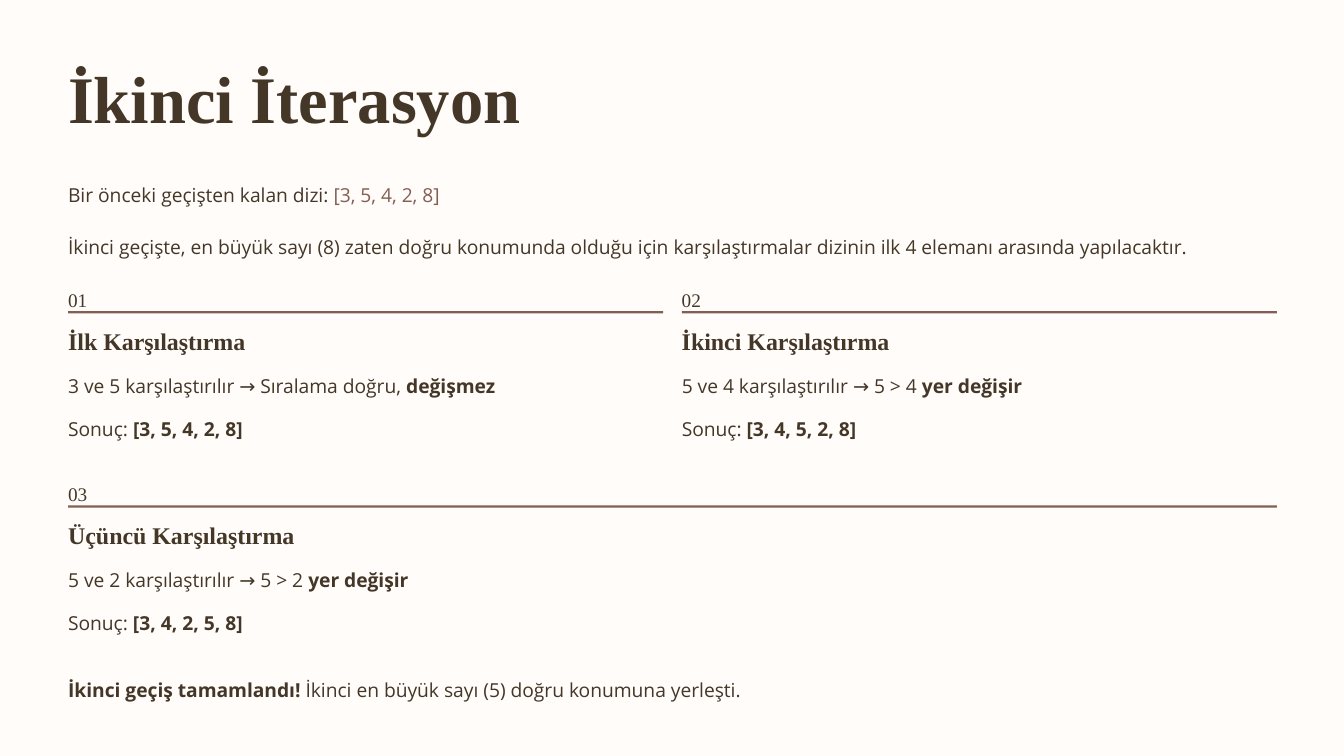
import pptx
import pptx.dml.color
import pptx.enum.shapes
import pptx.util
from pptx.util import Cm, Pt

BROWN = pptx.dml.color.RGBColor(0x44, 0x37, 0x28)
ROSE = pptx.dml.color.RGBColor(0x83, 0x5E, 0x54)
CREAM = pptx.dml.color.RGBColor(0xFF, 0xFC, 0xFA)
SERIF = "Times New Roman"
SANS = "Open Sans"

# Each span is (text, bold, colour).
TITLE = "İkinci İterasyon"
SENTENCES = [
    (5.31, [("Bir önceki geçişten kalan dizi: ", False, BROWN),
            ("[3, 5, 4, 2, 8]", False, ROSE)]),
    (6.88, [("İkinci geçişte, en büyük sayı (8) zaten doğru konumunda olduğu için "
             "karşılaştırmalar dizinin ilk 4 elemanı arasında yapılacaktır.", False, BROWN)]),
    (20.27, [("İkinci geçiş tamamlandı! ", True, BROWN),
             ("İkinci en büyük sayı (5) doğru konumuna yerleşti.", False, BROWN)]),
]
# Each row holds its top and its steps: (heading, comparison, outcome, result).
ROWS = [
    (8.48, [("İlk Karşılaştırma", "3 ve 5 karşılaştırılır → Sıralama doğru, ",
             "değişmez", "[3, 5, 4, 2, 8]"),
            ("İkinci Karşılaştırma", "5 ve 4 karşılaştırılır → 5 > 4 ",
             "yer değişir", "[3, 4, 5, 2, 8]")]),
    (14.35, [("Üçüncü Karşılaştırma", "5 ve 2 karşılaştırılır → 5 > 2 ",
              "yer değişir", "[3, 4, 2, 5, 8]")]),
]

MARGIN = 2.06
CONTENT_WIDTH = 36.55
COLUMN_GAP = 0.56
LINE_HEIGHT = 0.94


def add_text(page, left, top, width, height, spans, font=SANS, size=16.5, leading=26.5):
    box = page.shapes.add_textbox(Cm(left), Cm(top), Cm(width), Cm(height))
    frame = box.text_frame
    frame.word_wrap = False
    frame.margin_left = frame.margin_top = frame.margin_right = frame.margin_bottom = 0
    para = frame.paragraphs[0]
    para.line_spacing = Pt(leading)
    para.font.name = font
    para.font.size = Pt(size)
    for text, bold, colour in spans:
        span = para.add_run()
        span.text = text
        span.font.bold = bold
        span.font.color.rgb = colour


def add_step(page, left, top, width, number, step):
    """Add a numbered rule with a heading and two lines below it."""
    heading, comparison, outcome, result = step
    add_text(page, left, top, 0.58, 0.74, [(f"{number:02}", False, BROWN)], SERIF)
    rule = page.shapes.add_shape(pptx.enum.shapes.MSO_SHAPE.RECTANGLE,
                                 Cm(left), Cm(top + 0.93), Cm(width), Cm(0.07))
    rule.shadow.inherit = False
    rule.fill.solid()
    rule.fill.fore_color.rgb = ROSE
    rule.line.fill.background()
    add_text(page, left, top + 1.35, 7.32, 0.91, [(heading, True, BROWN)], SERIF, 20.5, 25.5)
    lines = [(comparison, outcome), ("Sonuç: ", result)]
    for index, (plain, strong) in enumerate(lines):
        add_text(page, left, top + 2.61 + index * 1.29, width, LINE_HEIGHT,
                 [(plain, False, BROWN), (strong, True, BROWN)])


def main():
    deck = pptx.Presentation()
    deck.slide_width, deck.slide_height = Cm(40.64), Cm(22.86)
    page = deck.slides.add_slide(deck.slide_layouts[6])
    page.background.fill.solid()
    page.background.fill.fore_color.rgb = CREAM

    add_text(page, MARGIN, 1.63, 20.17, 2.51, [(TITLE, True, BROWN)], SERIF, 57, 71)
    for top, spans in SENTENCES:
        add_text(page, MARGIN, top, CONTENT_WIDTH, LINE_HEIGHT, spans)

    number = 1
    for top, steps in ROWS:
        width = (CONTENT_WIDTH - COLUMN_GAP * (len(steps) - 1)) / len(steps)
        for column, step in enumerate(steps):
            left = MARGIN + column * (width + COLUMN_GAP)
            add_step(page, left, top, width, number, step)
            number += 1

    deck.save("out.pptx")


if __name__ == "__main__":
    main()
